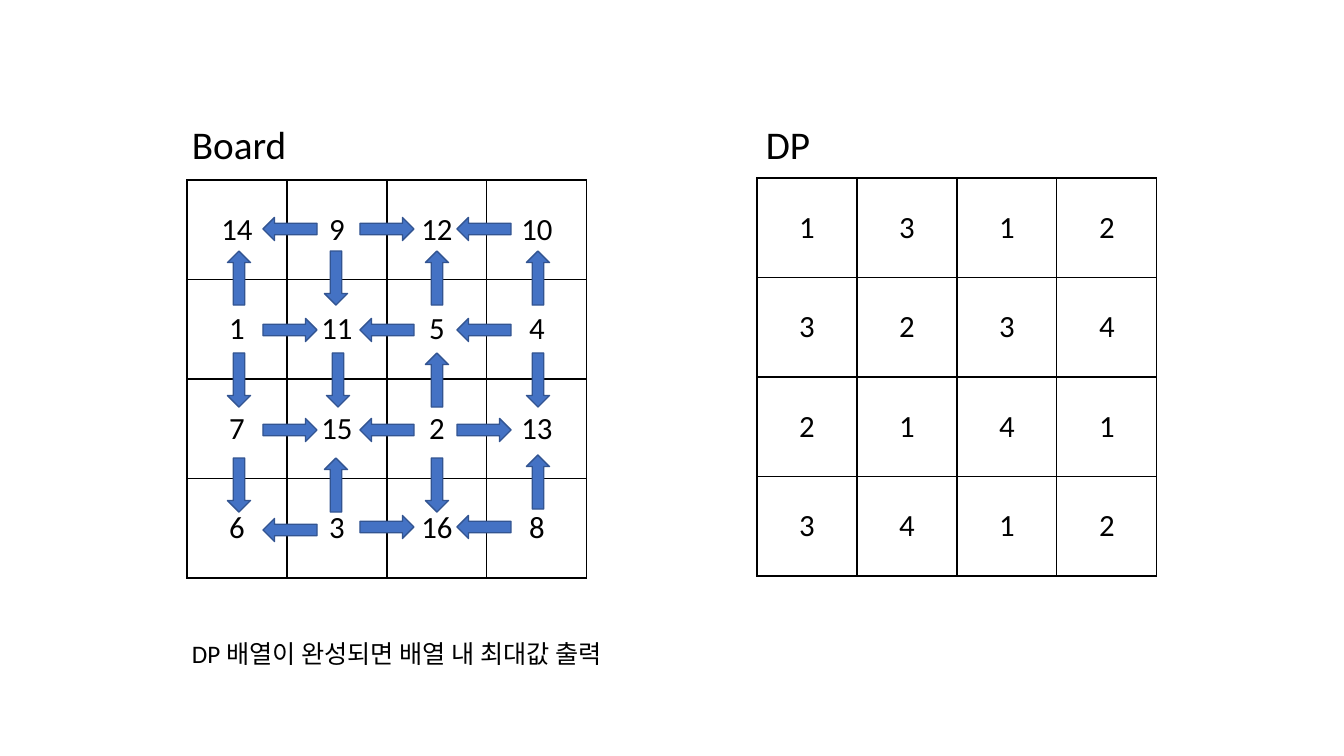
from dataclasses import dataclass

from lxml import etree
from pptx import Presentation
from pptx.dml.color import RGBColor
from pptx.enum.shapes import MSO_SHAPE
from pptx.enum.text import MSO_ANCHOR, MSO_AUTO_SIZE, PP_ALIGN
from pptx.oxml.ns import qn
from pptx.util import Pt

ARROW = MSO_SHAPE.RIGHT_ARROW
MIDDLE = MSO_ANCHOR.MIDDLE
GROW = MSO_AUTO_SIZE.SHAPE_TO_FIT_TEXT
CENTER = PP_ALIGN.CENTER
BLANK_LAYOUT = 6
EMU_PER_PX = 914400 / 100.8


@dataclass(frozen=True)
class Theme:
    font: str = "Calibri"
    text: str = "000000"
    cell: str = "FFFFFF"
    border: str = "000000"
    arrow: str = "4472C4"
    arrow_line: str = "325491"
    heading_size: int = 28
    cell_size: int = 22
    note_size: int = 18
    line_width: int = 1


THEME = Theme()

BOARD = [[14, 9, 12, 10], [1, 11, 5, 4], [7, 15, 2, 13], [6, 3, 16, 8]]
DP = [[1, 3, 1, 2], [3, 2, 3, 4], [2, 1, 4, 1], [3, 4, 1, 2]]

TABLE_SIZE = (400, 398)
TABLES = [(BOARD, 187, 180), (DP, 757, 178)]

ARROW_SIZE = (54, 23)
ROTATION = {">": 0, "v": 90, "<": 180, "^": 270}
ACROSS = (["<><", "><<", "><>", "<><"], (290, 387, 484), (229, 330, 430, 527))
DOWN = (["^v^^", "vv^v", "v^v^"], (239, 336, 437, 538), (278, 380, 485))
NUDGES = {(290, 527): (0, 3), (336, 380): (2, 0), (538, 485): (0, -3)}

LABELS = [
    ("Board", (182, 115, 144, 57), THEME.heading_size),
    ("DP", (756, 115, 144, 57), THEME.heading_size),
    ("DP 배열이 완성되면 배열 내 최대값 출력", (182, 633, 485, 40), THEME.note_size),
]


def px(*values):
    return [round(v * EMU_PER_PX) for v in values]


def rgb(value):
    return RGBColor.from_string(value)


def set_attrs(target, values):
    for name, value in values.items():
        setattr(target, name, value)


def write(tf, text, size, align=None):
    p = tf.paragraphs[0]
    p.alignment = align
    r = p.add_run()
    r.text = text
    set_attrs(r.font, {"name": THEME.font, "size": Pt(size)})
    r.font.color.rgb = rgb(THEME.text)


def add_label(slide, text, box, size):
    tf = slide.shapes.add_textbox(*px(*box)).text_frame
    set_attrs(tf, {"word_wrap": True, "auto_size": GROW})
    write(tf, text, size)


def set_borders(cell):
    tc_pr = cell._tc.get_or_add_tcPr()
    for side in ("lnL", "lnR", "lnT", "lnB"):
        ln = etree.SubElement(tc_pr, qn("a:" + side), w=str(Pt(THEME.line_width)))
        fill = etree.SubElement(ln, qn("a:solidFill"))
        etree.SubElement(fill, qn("a:srgbClr"), val=THEME.border)


def add_grid(slide, values, left, top):
    frame = slide.shapes.add_table(
        len(values), len(values[0]), *px(left, top, *TABLE_SIZE))
    table = frame.table
    set_attrs(table, {"first_row": False, "horz_banding": False})
    for r, row in enumerate(values):
        for c, value in enumerate(row):
            cell = table.cell(r, c)
            cell.vertical_anchor = MIDDLE
            set_borders(cell)
            cell.fill.solid()
            cell.fill.fore_color.rgb = rgb(THEME.cell)
            write(cell.text_frame, str(value), THEME.cell_size, CENTER)


def add_arrow(slide, x, y, direction):
    w, h = ARROW_SIZE
    sp = slide.shapes.add_shape(ARROW, *px(x - w / 2, y - h / 2, w, h))
    sp.rotation = ROTATION[direction]
    sp.shadow.inherit = False
    sp.fill.solid()
    sp.fill.fore_color.rgb = rgb(THEME.arrow)
    sp.line.color.rgb = rgb(THEME.arrow_line)
    sp.line.width = Pt(THEME.line_width)


def add_arrows(slide, directions, xs, ys):
    for y, row in zip(ys, directions):
        for x, direction in zip(xs, row):
            dx, dy = NUDGES.get((x, y), (0, 0))
            add_arrow(slide, x + dx, y + dy, direction)


def main():
    prs = Presentation()
    prs.slide_width, prs.slide_height = px(1344, 756)
    slide = prs.slides.add_slide(prs.slide_layouts[BLANK_LAYOUT])
    for values, left, top in TABLES:
        add_grid(slide, values, left, top)
    for directions, xs, ys in (ACROSS, DOWN):
        add_arrows(slide, directions, xs, ys)
    for text, box, size in LABELS:
        add_label(slide, text, box, size)
    prs.save("out.pptx")


main()
